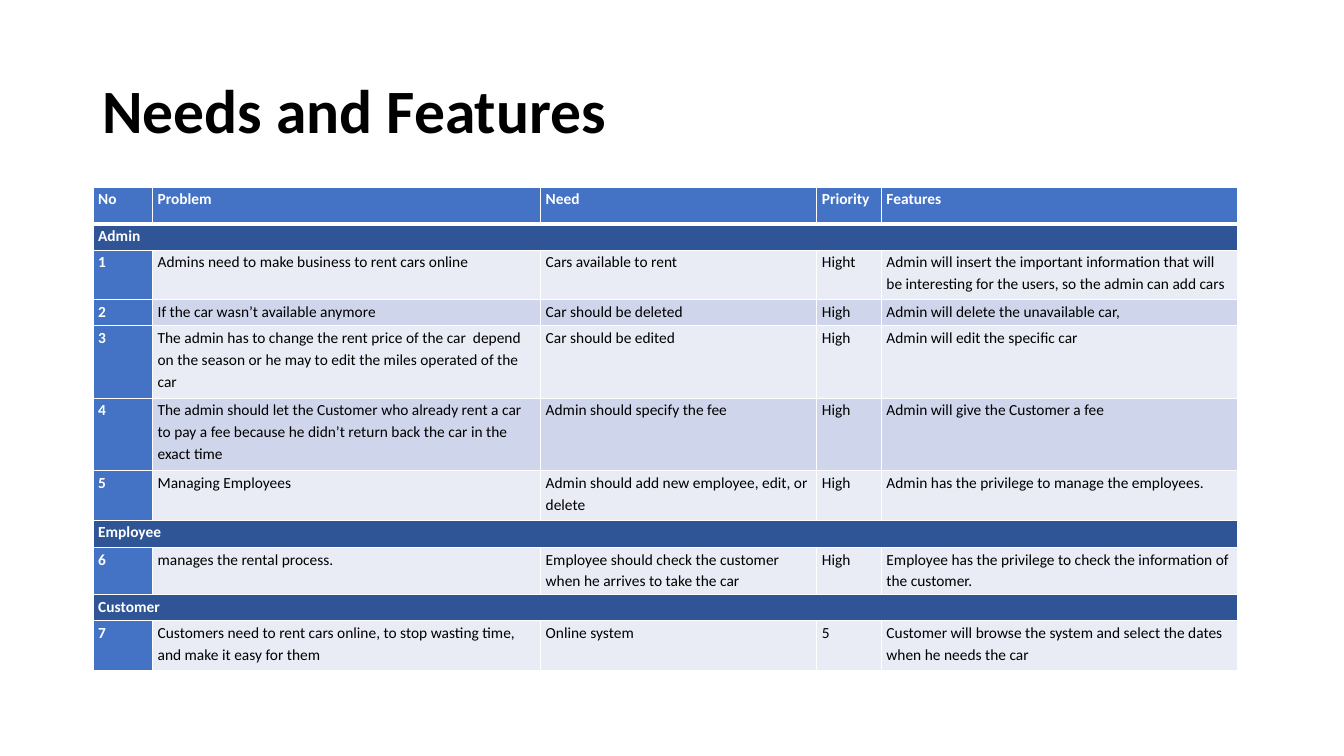
import pptx
import pptx.util
from dataclasses import dataclass
from lxml import etree
from pptx.dml.color import RGBColor
from pptx.enum.text import MSO_ANCHOR, MSO_AUTO_SIZE, PP_ALIGN
from pptx.oxml.ns import qn

Pt = pptx.util.Pt


@dataclass(frozen=True)
class Theme:
    font: str = "Calibri"
    title_size: int = 44
    cell_size: int = 11
    ink: str = "000000"
    paper: str = "FFFFFF"
    header: str = "4472C4"
    section: str = "2F5597"
    bands: tuple = ("E9EBF5", "CFD5EA")


THEME = Theme()

COLUMN_WIDTHS = (42.5, 277.2, 197.3, 46.1, 254.1)
ROW_HEIGHTS = (26.6, 18.7, 35.3, 18.7, 51.8, 51.8, 35.3, 19.4, 33.8, 18.7, 35.3)

# A row with a single entry is a section heading across the table.
ROWS = (
    ("No", "Problem", "Need", "Priority", "Features"),
    ("Admin",),
    ("1", "Admins need to make business to rent cars online",
     "Cars available to rent", "Hight",
     "Admin will insert the important information that will be interesting "
     "for the users, so the admin can add cars"),
    ("2", "If the car wasn’t available anymore", "Car should be deleted", "High",
     "Admin will delete the unavailable car,"),
    ("3", "The admin has to change the rent price of the car  depend on the "
     "season or he may to edit the miles operated of the car",
     "Car should be edited", "High", "Admin will edit the specific car"),
    ("4", "The admin should let the Customer who already rent a car to pay a "
     "fee because he didn’t return back the car in the exact time",
     "Admin should specify the fee", "High", "Admin will give the Customer a fee"),
    ("5", "Managing Employees", "Admin should add new employee, edit, or delete",
     "High", "Admin has the privilege to manage the employees."),
    ("Employee",),
    ("6", "manages the rental process.",
     "Employee should check the customer when he arrives to take the car", "High",
     "Employee has the privilege to check the information of the customer."),
    ("Customer",),
    ("7", "Customers need to rent cars online, to stop wasting time, and make "
     "it easy for them", "Online system", "5",
     "Customer will browse the system and select the dates when he needs the car"),
)


def apply(target, formats):
    for name, value in formats.items():
        setattr(target, name, value)


def write(tf, text, size, color, bold, spacing):
    p = tf.paragraphs[0]
    apply(p, {"alignment": PP_ALIGN.LEFT, "line_spacing": spacing})
    r = p.add_run()
    r.text = text
    apply(r.font, {"name": THEME.font, "size": Pt(size), "bold": bold})
    r.font.color.rgb = RGBColor.from_string(color)


def add_borders(cell, top, bottom):
    """Draw the four cell borders; top and bottom are widths in points."""
    tc_pr = cell._tc.get_or_add_tcPr()
    for side, width in (("L", 1), ("R", 1), ("T", top), ("B", bottom)):
        ln = etree.SubElement(tc_pr, qn("a:ln" + side), w=str(Pt(width)))
        fill = etree.SubElement(ln, qn("a:solidFill"))
        etree.SubElement(fill, qn("a:srgbClr"), val=THEME.paper)


def cell_style(row, column):
    """Return fill, text colour and boldness for a cell."""
    if len(ROWS[row]) == 1:
        return THEME.section, THEME.paper, True
    if row == 0 or column == 0:
        return THEME.header, THEME.paper, True
    return THEME.bands[row % 2], THEME.ink, False


def add_title(s, text, left, top, width, height):
    sp = s.shapes.title
    apply(sp, {"left": Pt(left), "top": Pt(top),
               "width": Pt(width), "height": Pt(height)})
    tf = sp.text_frame
    apply(tf, {"word_wrap": True, "auto_size": MSO_AUTO_SIZE.NONE,
               "vertical_anchor": MSO_ANCHOR.MIDDLE})
    write(tf, text, THEME.title_size, THEME.ink, True, 0.9)


def add_needs_table(s, left, top, width, height):
    """Fit the needs table to the box, keeping row and column proportions."""
    table = s.shapes.add_table(len(ROWS), len(COLUMN_WIDTHS), Pt(left), Pt(top),
                               Pt(width), Pt(height)).table
    for column, share in zip(table.columns, COLUMN_WIDTHS):
        column.width = Pt(width * share / sum(COLUMN_WIDTHS))
    for row, share in zip(table.rows, ROW_HEIGHTS):
        row.height = Pt(height * share / sum(ROW_HEIGHTS))

    for i, texts in enumerate(ROWS):
        for j in range(len(COLUMN_WIDTHS)):
            cell = table.cell(i, j)
            fill, color, bold = cell_style(i, j)
            apply(cell, {"margin_left": Pt(3.6), "margin_right": Pt(3.6),
                         "margin_top": 0, "margin_bottom": 0,
                         "vertical_anchor": MSO_ANCHOR.TOP})
            add_borders(cell, 3 if i == 1 else 1, 3 if i == 0 else 1)
            cell.fill.solid()
            cell.fill.fore_color.rgb = RGBColor.from_string(fill)
            if j < len(texts):
                write(cell.text_frame, texts[j], THEME.cell_size, color, bold, 1.15)
        if len(texts) == 1:
            table.cell(i, 0).merge(table.cell(i, len(COLUMN_WIDTHS) - 1))


def main():
    prs = pptx.Presentation()
    apply(prs, {"slide_width": Pt(960), "slide_height": Pt(540)})
    s = prs.slides.add_slide(prs.slide_layouts.get_by_name("Title Only"))
    add_title(s, "Needs and Features", 66, 28.8, 828, 104.4)
    add_needs_table(s, 66.5, 133.5, 817.2, 345.4)
    prs.save("out.pptx")


if __name__ == "__main__":
    main()
